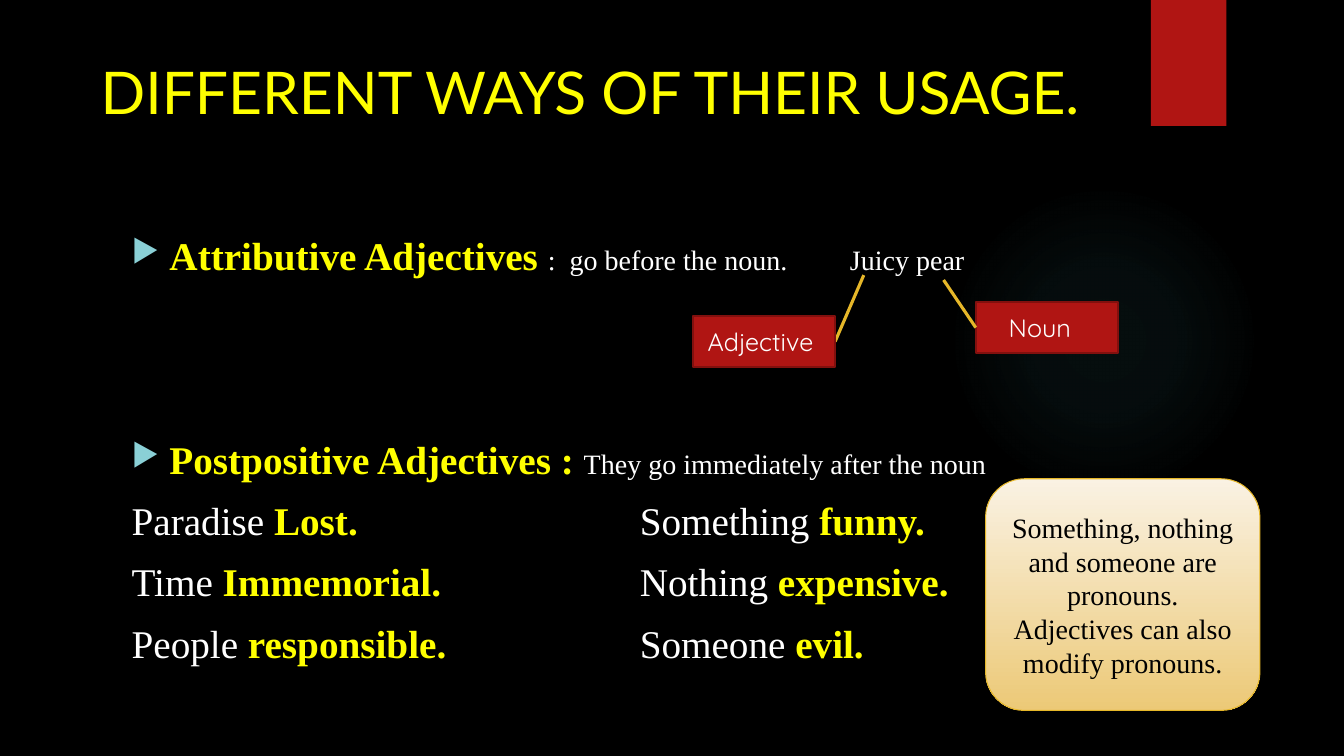
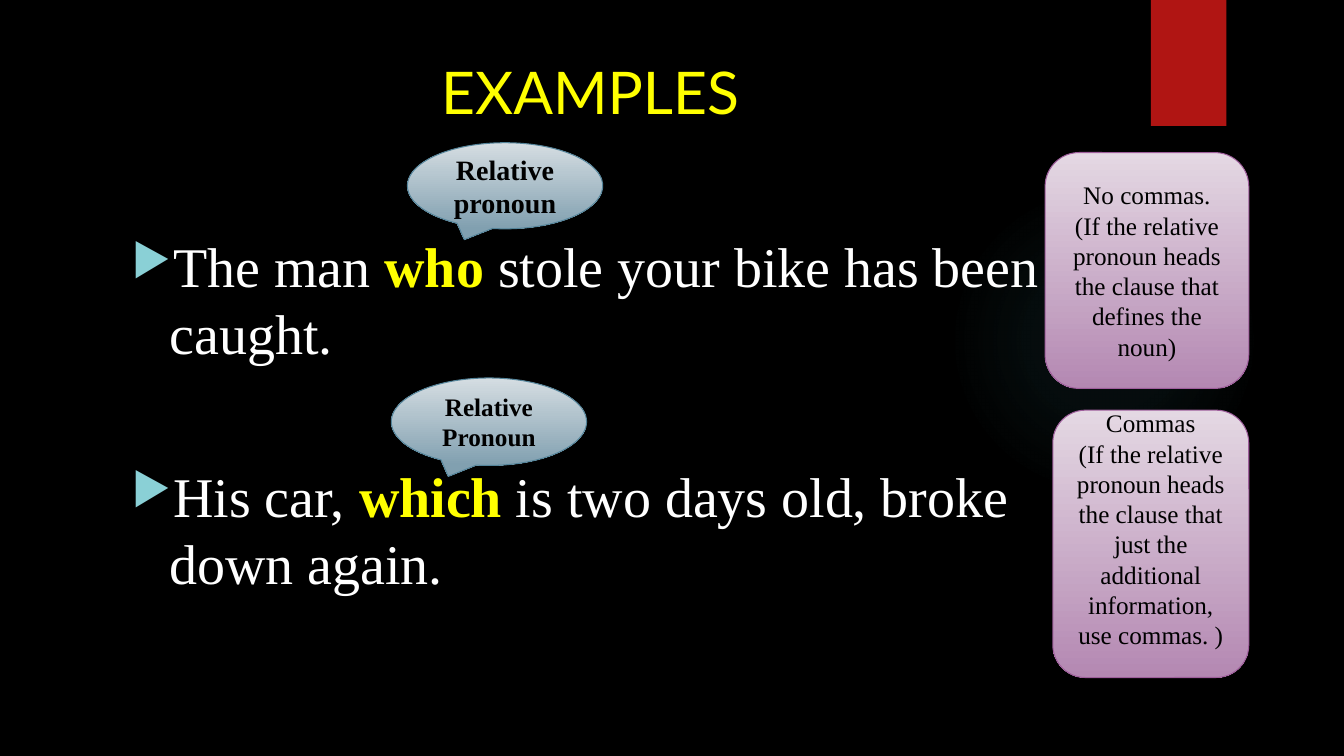
from pptx import Presentation
from pptx.dml.color import RGBColor
from pptx.enum.shapes import MSO_CONNECTOR, MSO_SHAPE
from pptx.enum.text import MSO_ANCHOR, PP_ALIGN
from pptx.oxml import parse_xml
from pptx.oxml.ns import nsdecls, qn
from pptx.util import Pt
from lxml.etree import SubElement

BLACK, WHITE, YELLOW = "000000", "FFFFFF", "FFFF00"
RED, MAROON, GOLD = "B01513", "82100E", "E6B729"
AQUA, GLOW = "8AD0D6", "50B9C1"
CREAM = ("FAF2E3", "ECC977", GOLD)
STEEL = ("D5DDE2", "81A0B0", "54849A")
MAUVE = ("E4D8E3", "B488B2", "9E5E9B")
SERIF, SANS, HEAD = "Times New Roman", "Quicksand", "Lato"
TITLE = (51, 36, 741, 110)
BODY = (87, 162, 704, 330)
INSET = 7.2


def paint(item, hue):
    """Give a font, fill or line a solid colour."""
    if hasattr(item, "solid"):
        item.solid()
        item.fore_color.rgb = RGBColor.from_string(hue)
    else:
        item.color.rgb = RGBColor.from_string(hue)


def write(para, text, size, hue=WHITE, face=SERIF, bold=False):
    """Add one run to a paragraph."""
    run = para.add_run()
    run.text = text
    font = run.font
    font.name, font.size, font.bold = face, Pt(size), bold
    paint(font, hue)


def draw(slide, kind, box):
    """Add a preset shape without a shadow."""
    shape = slide.shapes.add_shape(kind, *map(Pt, box))
    shape.shadow.inherit = False
    return shape


def label(shape, lines, size, hue, face=SERIF, bold=False, right=0, low=0):
    """Centre lines of text in a shape, with extra right and bottom inset."""
    frame = shape.text_frame
    frame.word_wrap = True
    frame.vertical_anchor = MSO_ANCHOR.MIDDLE
    frame.margin_right = Pt(INSET + right)
    frame.margin_bottom = Pt(INSET / 2 + low)
    for i, line in enumerate(lines):
        para = frame.add_paragraph() if i else frame.paragraphs[0]
        para.alignment = PP_ALIGN.CENTER
        write(para, line, size, hue, face, bold)


def bubble(slide, kind, box, tones, lines, size, bold=False, low=0):
    """Draw a shaded note with centred black text."""
    shape = draw(slide, kind, box)
    top, base, edge = tones
    fill = shape.fill
    fill.gradient()
    fill.gradient_angle = 270
    for stop, hue in zip(fill.gradient_stops, (top, base)):
        paint(stop, hue)
    paint(shape.line, edge)
    shape.line.width = Pt(0.75)
    label(shape, lines, size, BLACK, bold=bold, low=low)


def tag(slide, box, text, right):
    """Draw a red word tag."""
    shape = draw(slide, MSO_SHAPE.RECTANGLE, box)
    paint(shape.fill, RED)
    paint(shape.line, MAROON)
    shape.line.width = Pt(1.5)
    label(shape, [text], 18, WHITE, SANS, right=right)


def link(slide, start, end):
    """Join two points with a gold line."""
    line = slide.shapes.add_connector(
        MSO_CONNECTOR.STRAIGHT, *map(Pt, start + end))
    paint(line.line, GOLD)
    line.line.width = Pt(2.25)
    SubElement(line._element.spPr, qn("a:effectLst"))


def text_box(slide, box):
    """Add a wrapping text box and return its frame."""
    frame = slide.shapes.add_textbox(*map(Pt, box)).text_frame
    frame.word_wrap = True
    return frame


def bullet(para):
    """Give a paragraph a hanging triangle."""
    props = para._p.get_or_add_pPr()
    props.set("marL", str(Pt(27)))
    props.set("indent", str(-Pt(27)))
    tint = SubElement(props, qn("a:buClr"))
    SubElement(tint, qn("a:srgbClr"), val=AQUA)
    SubElement(props, qn("a:buSzPct"), val="80000")
    SubElement(props, qn("a:buChar"), char="▶")


def tab(para, left):
    """Set one left tab stop."""
    stops = SubElement(para._p.get_or_add_pPr(), qn("a:tabLst"))
    SubElement(stops, qn("a:tab"), pos=str(Pt(left)), algn="l")


def glow(slide, box):
    """Draw the faint round light."""
    shape = draw(slide, MSO_SHAPE.OVAL, box)
    shape.line.fill.background()
    shape.fill.gradient()
    stops = "".join(
        f'<a:gs pos="{pos}000"><a:srgbClr val="{GLOW}">'
        f'<a:alpha val="{alpha}000"/></a:srgbClr></a:gs>'
        for pos, alpha in ((0, 7), (36, 6), (69, 0)))
    fade = parse_xml(
        f'<a:gradFill {nsdecls("a")}><a:gsLst>{stops}</a:gsLst>'
        '<a:path path="circle"><a:fillToRect l="50000" t="50000" '
        'r="50000" b="50000"/></a:path></a:gradFill>')
    props = shape._element.spPr
    props.replace(props.find(qn("a:gradFill")), fade)


def base(deck, title):
    """Start a slide with its backdrop, ribbon and title."""
    slide = deck.slides.add_slide(deck.slide_layouts[6])
    paint(slide.background.fill, BLACK)
    glow(slide, (677.5, 132, 222, 222))
    ribbon = draw(slide, MSO_SHAPE.RECTANGLE, (822, 0, 54, 90))
    paint(ribbon.fill, RED)
    ribbon.line.fill.background()
    para = text_box(slide, TITLE).paragraphs[0]
    para.alignment = PP_ALIGN.CENTER
    write(para, title, 42, YELLOW, HEAD)
    return slide


def usage(slide, box):
    """Write the two kinds of use with their word pairs."""
    frame = text_box(slide, box)
    kinds = (
        ("Attributive Adjectives ", ":  go before the noun.", 0),
        ("Postpositive Adjectives : ",
         "They go immediately after the noun", 112))
    for i, (name, note, gap) in enumerate(kinds):
        para = frame.add_paragraph() if i else frame.paragraphs[0]
        para.space_before = Pt(gap)
        bullet(para)
        write(para, name, 28, YELLOW, bold=True)
        write(para, note, 20)
    rows = (
        ("Paradise ", "Lost.", "Something ", "funny."),
        ("Time ", "Immemorial.", "Nothing ", "expensive."),
        ("People ", "responsible.", "Someone ", "evil."))
    for noun, word, other, last in rows:
        para = frame.add_paragraph()
        para.space_before = Pt(10)
        tab(para, 363)
        write(para, noun, 28)
        write(para, word + "\t", 28, YELLOW, bold=True)
        write(para, other, 28)
        write(para, last, 28, YELLOW, bold=True)


def sample(slide, box):
    """Show a word pair with a tag for each word."""
    x, y, w, h = box
    wide, high = 101.5, 36
    para = text_box(slide, (x + 105, y, 120, 32)).paragraphs[0]
    write(para, "Juicy pear", 20)
    left, right = y + h - high, y + h - high - 10
    link(slide, (x + 122, y + 26.5), (x + wide, left + high / 2))
    tag(slide, (x, left, wide, high), "Adjective", 5)
    tag(slide, (x + w - wide, right, wide, high), "Noun", 10)
    link(slide, (x + 179, y + 30), (x + w - wide, right + high / 2))


def clauses(slide, box):
    """Write the two model sentences."""
    frame = text_box(slide, box)
    lines = (
        ("The man ", "who", " stole your bike has been caught.", 0),
        ("His car, ", "which", " is two days old, broke down again.", 68))
    for i, (start, key, rest, gap) in enumerate(lines):
        para = frame.add_paragraph() if i else frame.paragraphs[0]
        para.space_before = Pt(gap)
        bullet(para)
        write(para, start, 40)
        write(para, key, 40, YELLOW, bold=True)
        write(para, rest, 40)


def main():
    """Build and save both slides."""
    deck = Presentation()
    deck.slide_width, deck.slide_height = Pt(960), Pt(540)

    slide = base(deck, "DIFFERENT WAYS OF THEIR USAGE.")
    usage(slide, BODY)
    sample(slide, (495, 170, 303.5, 92))
    bubble(slide, MSO_SHAPE.ROUNDED_RECTANGLE, (704, 342, 196, 165.5), CREAM,
           ["Something, nothing and someone are pronouns. "
            "Adjectives can also modify pronouns."], 20)

    slide = base(deck, "EXAMPLES")
    clauses(slide, BODY)
    for box, text, size in (
            ((291, 102, 139.5, 61.5), "Relative pronoun", 20),
            ((279.5, 270, 139.5, 62.5), "Relative Pronoun", 18)):
        bubble(slide, MSO_SHAPE.OVAL_CALLOUT, box, STEEL, [text], size, True)
    lead = "(If the relative pronoun heads the clause that "
    for box, head, rest, low in (
            ((746.5, 109, 145.5, 168.5), "No commas.",
             "defines the noun)", 0),
            ((752, 293, 140, 191), "Commas",
             "just the additional information, use commas. )", 21.6)):
        bubble(slide, MSO_SHAPE.ROUNDED_RECTANGLE, box, MAUVE,
               [head, lead + rest], 18, low=low)

    deck.save("out.pptx")


if __name__ == "__main__":
    main()
